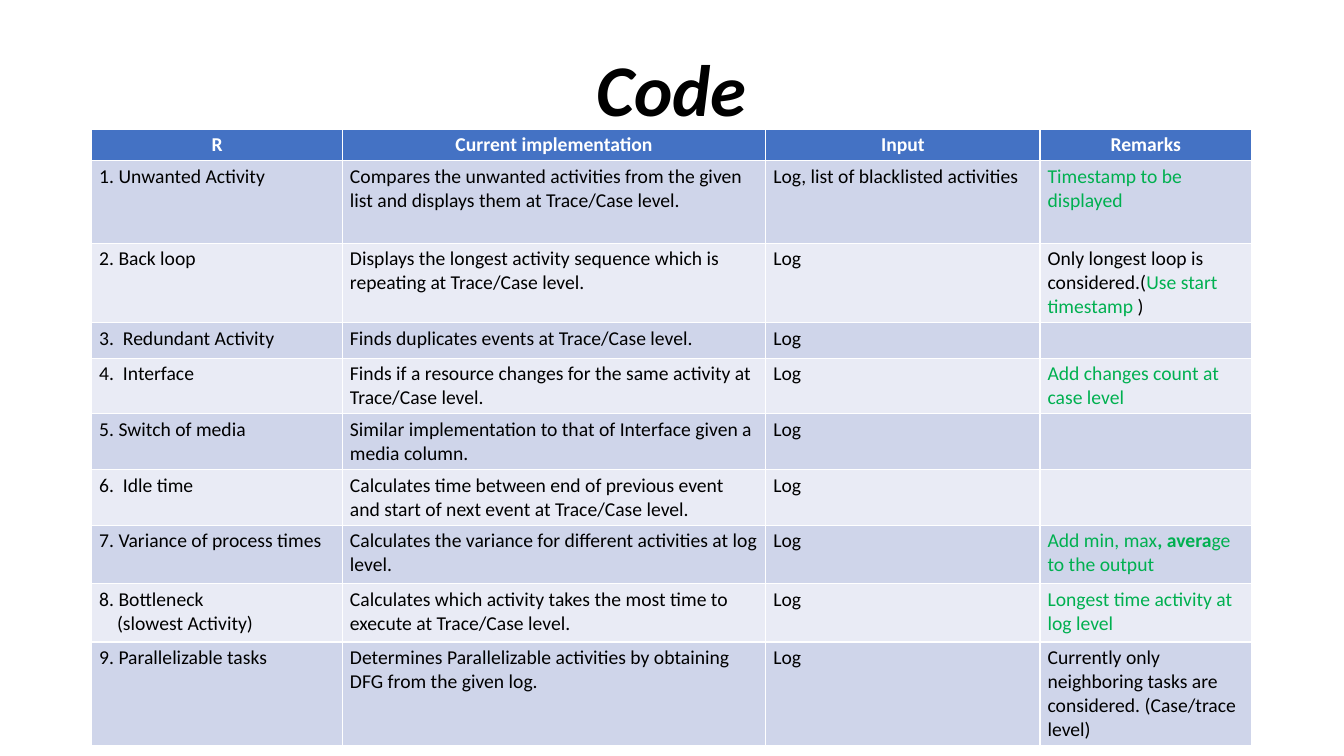
from collections import namedtuple
from dataclasses import dataclass

from lxml.etree import SubElement
from pptx import Presentation
from pptx.dml.color import RGBColor
from pptx.enum.text import MSO_ANCHOR, PP_ALIGN
from pptx.oxml.ns import qn
from pptx.util import Cm, Pt


@dataclass(frozen=True)
class Theme:
    """Colours, font and type sizes of the deck."""

    font: str = "Calibri"
    title_size: int = 52
    body_size: int = 14
    ink: str = "000000"
    paper: str = "FFFFFF"
    note: str = "00B050"
    header: str = "4472C4"
    bands: tuple = ("CFD5EA", "E9EBF5")


THEME = Theme()
Box = namedtuple("Box", "left top width height")
Span = namedtuple("Span", "text color bold", defaults=(THEME.ink, False))

COLUMN_WIDTHS = (6.32, 10.67, 6.91, 5.33)
ROW_HEIGHTS = (0.76, 2.08, 1.73, 0.89, 0.89, 0.89, 0.89, 1.47, 1.47, 0.89)
HEADINGS = ("R", "Current implementation", "Input", "Remarks")
LOG = "Log"


def note(text, bold=False):
    """Return a highlighted remark span."""
    return Span(text, THEME.note, bold)


CHECKS = (
    ("1. Unwanted Activity",
     "Compares the unwanted activities from the given list and displays them at Trace/Case level.",
     "Log, list of blacklisted activities",
     [note("Timestamp to be displayed")]),
    ("2. Back loop",
     "Displays the longest activity sequence which is repeating at Trace/Case level.",
     LOG,
     [Span("Only longest loop is considered.("), note("Use start timestamp "), Span(")")]),
    ("3. \u00a0Redundant Activity", "Finds duplicates events at Trace/Case level.", LOG, []),
    ("4. \u00a0Interface",
     "Finds if a resource changes for the same activity at Trace/Case level.",
     LOG,
     [note("Add changes count at case level")]),
    ("5. Switch of media",
     "Similar implementation to that of Interface given a media column.",
     LOG, []),
    ("6. \u00a0Idle time",
     "Calculates time between end of previous event and start of next event at Trace/Case level.",
     LOG, []),
    ("7. Variance of process times",
     "Calculates the variance for different activities at log level.",
     LOG,
     [note("Add min, max"), note(", avera", True), note("ge to the output")]),
    ("8. Bottleneck\n(slowest Activity)",
     "Calculates which activity takes the most time to execute at Trace/Case level.",
     LOG,
     [note("Longest time activity at log level")]),
    ("9. Parallelizable tasks",
     "Determines Parallelizable activities by obtaining DFG from the given log.",
     LOG,
     [Span("Currently only neighboring tasks are considered. (Case/trace level)")]),
)


def add_span(para, span, size, italic=False):
    """Append one formatted run to a paragraph."""
    run = para.add_run()
    run.text = span.text
    run.font.name = THEME.font
    run.font.size = Pt(size)
    run.font.bold = span.bold
    run.font.italic = italic
    run.font.color.rgb = RGBColor.from_string(span.color)


def add_title(page, box, text):
    """Place and format the title placeholder."""
    title = page.shapes.title
    title.left, title.top, title.width, title.height = map(Cm, box)
    title.text_frame.vertical_anchor = MSO_ANCHOR.MIDDLE
    para = title.text_frame.paragraphs[0]
    para.alignment = PP_ALIGN.CENTER
    para.line_spacing = 0.9
    para.space_after = Pt(6)
    add_span(para, Span(text, THEME.ink, True), THEME.title_size, italic=True)


def fill_cell(cell, paragraphs, fill, alignment=PP_ALIGN.LEFT):
    """Format a cell and write its paragraphs, indenting those after the first."""
    cell.margin_left = cell.margin_right = Cm(0.19)
    cell.margin_top = cell.margin_bottom = Cm(0.1)
    cell.fill.solid()
    cell.fill.fore_color.rgb = RGBColor.from_string(fill)
    frame = cell.text_frame
    for index, spans in enumerate(paragraphs):
        para = frame.add_paragraph() if index else frame.paragraphs[0]
        para.alignment = alignment
        if index:
            para._p.get_or_add_pPr().set("marL", str(Cm(0.45)))
        for span in spans:
            add_span(para, span, THEME.body_size)
        if not spans:
            SubElement(para._p, qn("a:endParaRPr"), sz=str(THEME.body_size * 100))


def add_check_table(page, box):
    """Build the table of checks with its header and banded rows."""
    frame = page.shapes.add_table(len(ROW_HEIGHTS), len(COLUMN_WIDTHS), *map(Cm, box))
    table = frame.table
    for column, width in zip(table.columns, COLUMN_WIDTHS):
        column.width = Cm(width)
    for row, height in zip(table.rows, ROW_HEIGHTS):
        row.height = Cm(height)
    for column, heading in enumerate(HEADINGS):
        spans = [Span(heading, THEME.paper, True)]
        fill_cell(table.cell(0, column), [spans], THEME.header, PP_ALIGN.CENTER)
    for index, (*texts, remarks) in enumerate(CHECKS):
        contents = [[[Span(line)] for line in text.split("\n")] for text in texts]
        for column, paragraphs in enumerate(contents + [[remarks]]):
            fill_cell(table.cell(index + 1, column), paragraphs, THEME.bands[index % 2])


def build_code_page(deck):
    """Add the page listing the implemented checks."""
    page = deck.slides.add_slide(deck.slide_layouts[5])
    left, width = 2.31, sum(COLUMN_WIDTHS)
    add_title(page, Box(left, 0.76, width, 3.15), "Code")
    add_check_table(page, Box(left, 3.25, width, sum(ROW_HEIGHTS)))


def main():
    """Create and save the deck."""
    deck = Presentation()
    deck.slide_width, deck.slide_height = Cm(33.87), Cm(19.05)
    build_code_page(deck)
    deck.save("out.pptx")


main()
